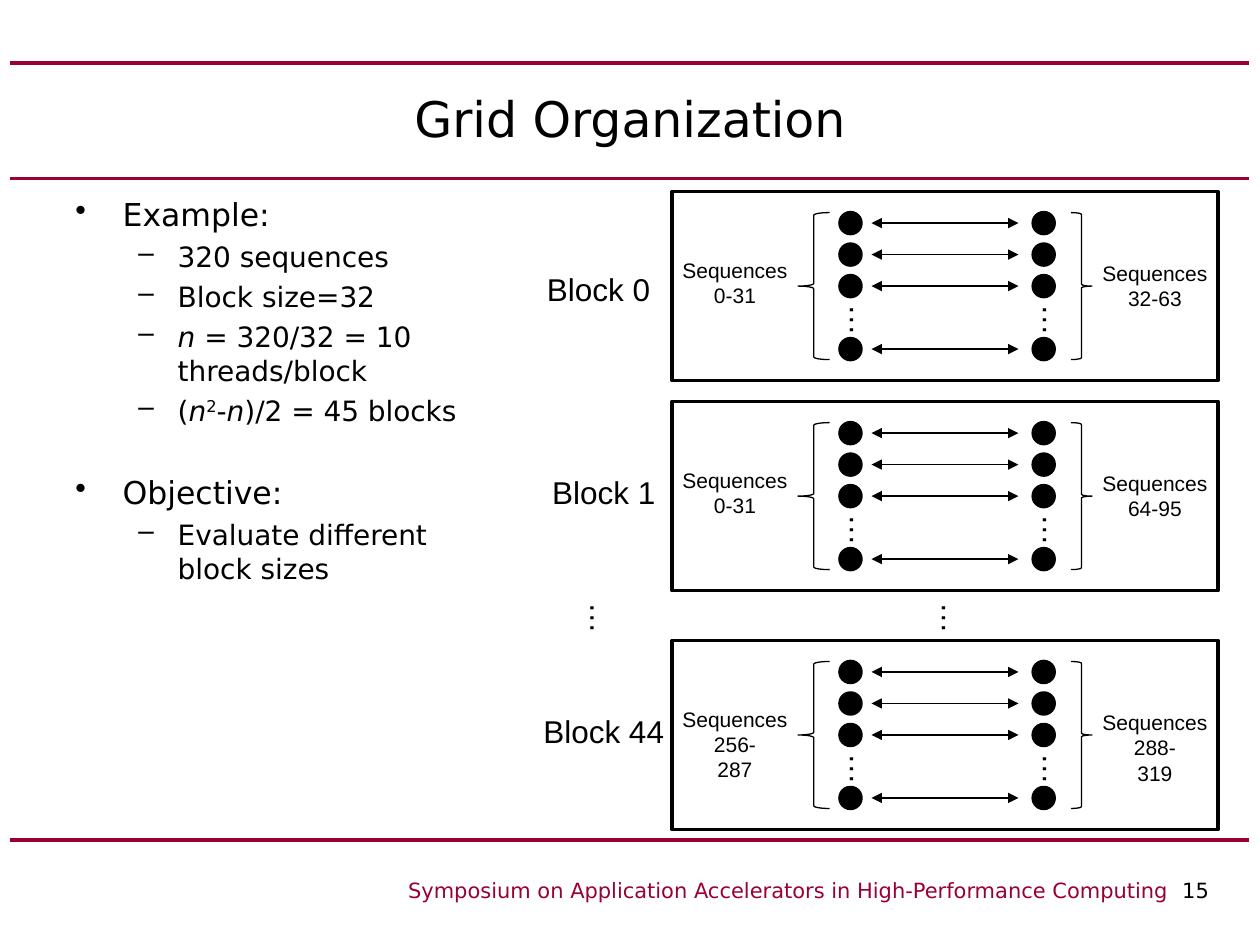
from lxml import etree
from pptx import Presentation
from pptx.dml.color import RGBColor
from pptx.enum.shapes import MSO_CONNECTOR, MSO_SHAPE
from pptx.enum.text import MSO_ANCHOR, PP_ALIGN
from pptx.oxml.ns import qn
from pptx.util import Pt

STRAIGHT = MSO_CONNECTOR.STRAIGHT
OVAL, RECTANGLE = MSO_SHAPE.OVAL, MSO_SHAPE.RECTANGLE
LEFT_BRACE, RIGHT_BRACE = MSO_SHAPE.LEFT_BRACE, MSO_SHAPE.RIGHT_BRACE
CENTER, LEFT = PP_ALIGN.CENTER, PP_ALIGN.LEFT
TOP, MIDDLE = MSO_ANCHOR.TOP, MSO_ANCHOR.MIDDLE

BLACK = RGBColor(0x00, 0x00, 0x00)
CRIMSON = RGBColor(0x99, 0x00, 0x33)
SANS, ARIAL = "DejaVu Sans", "Arial"

TITLE = "Grid Organization"
FOOTER = "Symposium on Application Accelerators in High-Performance Computing  "
PAGE = "15"
RULES_Y = [36, 102, 480]

# Bullets: level, space before, runs of (text, style)
BULLETS = [
    (0, 4, [("Example:", "")]),
    (1, 3.7, [("320 sequences", "")]),
    (1, 3.7, [("Block size=32", "")]),
    (1, 3.7, [("n", "italic"), (" = 320/32 = 10 threads/block", "")]),
    (1, 3.7, [("(", ""), ("n", "italic"), ("2", "super"), ("-", ""),
              ("n", "italic"), (")/2 = 45 blocks", "")]),
    (0, 26.5, [("Objective:", "")]),
    (1, 3.7, [("Evaluate different block sizes", "")]),
]
# Level: bullet, size, left margin, hanging indent
LEVELS = [("•", 18, 27, 27), ("–", 16, 58.5, 22.5)]

# Blocks: name, name position, panel top, left lines, right lines
BLOCKS = [
    ("Block 0", (288, 150.5), 109.5, ["Sequences", "0-31"], ["Sequences", "32-63"]),
    ("Block 1", (291, 267), 229.5, ["Sequences", "0-31"], ["Sequences", "64-95"]),
    ("Block 44", (291, 403.5), 366, ["Sequences", "256-", "287"],
     ["Sequences", "288-", "319"]),
]
PANEL_X, PANEL_W, PANEL_H = 384, 312, 108
DOT, DOT_PITCH, DOT_SLOTS = 12, 18, [0, 1, 2, 4]
DOT_COLUMNS_X = [480, 590.4]
ARROW_X = (498, 582)
# Side: label left, label drop below panel top, brace preset, brace left, brace width
SIDES = [(366, 34, LEFT_BRACE, 456, 18), (606, 36, RIGHT_BRACE, 612, 12)]
GAP_ELLIPSES_X = [320.4, 521.3]


def add_run(paragraph, text, size, font, color=BLACK):
    run = paragraph.add_run()
    run.text = text
    run.font.size = Pt(size)
    run.font.name = font
    run.font.color.rgb = color
    return run


def add_frame(shapes, x, y, w, h, anchor=TOP):
    box = shapes.add_textbox(Pt(x), Pt(y), Pt(w), Pt(h))
    box.text_frame.word_wrap = True
    box.text_frame.vertical_anchor = anchor
    return box


def next_paragraph(frame, index, align=CENTER):
    paragraph = frame.add_paragraph() if index else frame.paragraphs[0]
    paragraph.alignment = align
    return paragraph


def add_label(shapes, x, y, w, h, lines, size, font=ARIAL, anchor=TOP):
    box = add_frame(shapes, x, y, w, h, anchor)
    for i, line in enumerate(lines):
        add_run(next_paragraph(box.text_frame, i), line, size, font)
    return box


def add_ellipsis(shapes, x, y, w):
    add_label(shapes, x, y, w, 29, ["…"], 18).rotation = 90


def add_outline(shapes, preset, x, y, w, h, weight, fill=None):
    shape = shapes.add_shape(preset, Pt(x), Pt(y), Pt(w), Pt(h))
    shape.shadow.inherit = False
    if fill is None:
        shape.fill.background()
    else:
        shape.fill.solid()
        shape.fill.fore_color.rgb = fill
    shape.line.color.rgb = BLACK
    shape.line.width = Pt(weight)


def add_line(shapes, x1, x2, y, color, weight, arrows=False):
    line = shapes.add_connector(STRAIGHT, Pt(x1), Pt(y), Pt(x2), Pt(y))
    line.line.color.rgb = color
    line.line.width = Pt(weight)
    if arrows:
        stroke = line.line._get_or_add_ln()
        for end in ("a:headEnd", "a:tailEnd"):
            etree.SubElement(stroke, qn(end), type="triangle")
    etree.SubElement(line._element.spPr, qn("a:effectLst"))


def add_bullets(shapes):
    frame = add_frame(shapes, 36, 108, 246, 366).text_frame
    for i, (level, space, runs) in enumerate(BULLETS):
        mark, size, margin, hang = LEVELS[level]
        paragraph = next_paragraph(frame, i, LEFT)
        paragraph.level = level
        paragraph.space_before = Pt(space)
        props = paragraph._p.get_or_add_pPr()
        props.set("marL", str(Pt(margin)))
        props.set("indent", str(-Pt(hang)))
        etree.SubElement(props, qn("a:buChar"), char=mark)
        for text, style in runs:
            font = add_run(paragraph, text, size, SANS).font
            if style == "italic":
                font.italic = True
            elif style == "super":
                font._element.set("baseline", "30000")


def add_block(shapes, name, name_at, top, *side_lines):
    dots_y = [top + 12 + slot * DOT_PITCH for slot in DOT_SLOTS]
    for x in DOT_COLUMNS_X:
        column = shapes.add_group_shape().shapes
        for y in dots_y:
            add_outline(column, OVAL, x, y, DOT, DOT, 2, BLACK)
        add_ellipsis(column, x - 8.4, top + 59, 42)
    for (label_x, drop, brace, brace_x, brace_w), lines in zip(SIDES, side_lines):
        add_label(shapes, label_x, top + drop, 108, 36, lines, 12)
        add_outline(shapes, brace, brace_x, top + 12, brace_w, 84, 0.75)
    for y in dots_y:
        add_line(shapes, *ARROW_X, y + DOT / 2, BLACK, 0.75, arrows=True)
    add_outline(shapes, RECTANGLE, PANEL_X, top, PANEL_W, PANEL_H, 2)
    add_label(shapes, *name_at, 108, 29, [name], 18)


def main():
    deck = Presentation()
    deck.slide_width, deck.slide_height = Pt(720), Pt(540)
    shapes = deck.slides.add_slide(deck.slide_layouts[6]).shapes

    for y in RULES_Y:
        add_line(shapes, 6, 714, y, CRIMSON, 2.25)
    add_label(shapes, 36, 36, 648, 63, [TITLE], 28, SANS, MIDDLE)
    footer = next_paragraph(add_frame(shapes, 204, 498, 516, 24).text_frame, 0)
    add_run(footer, FOOTER, 12, SANS, CRIMSON)
    add_run(footer, PAGE, 12, SANS)
    add_bullets(shapes)
    for block in BLOCKS:
        add_block(shapes, *block)
    for x in GAP_ELLIPSES_X:
        add_ellipsis(shapes, x, 339, 48)

    deck.save("out.pptx")


if __name__ == "__main__":
    main()
